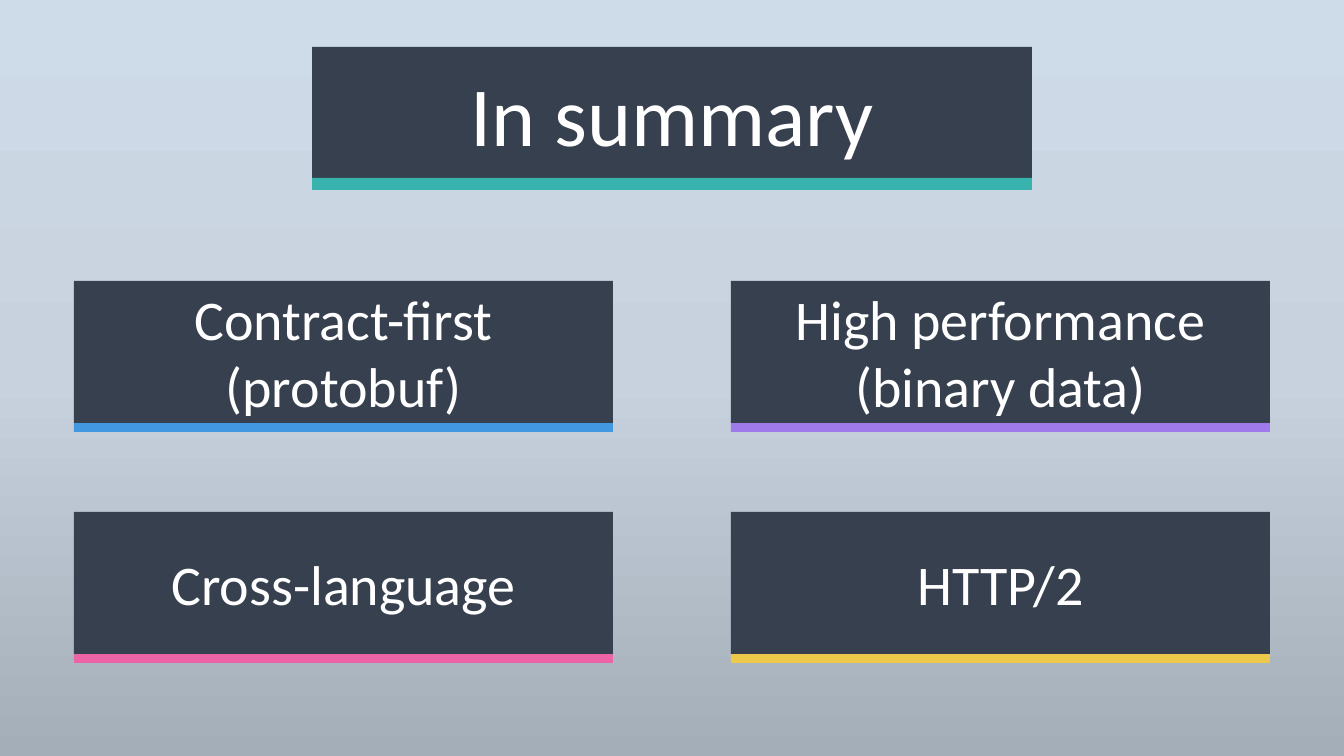
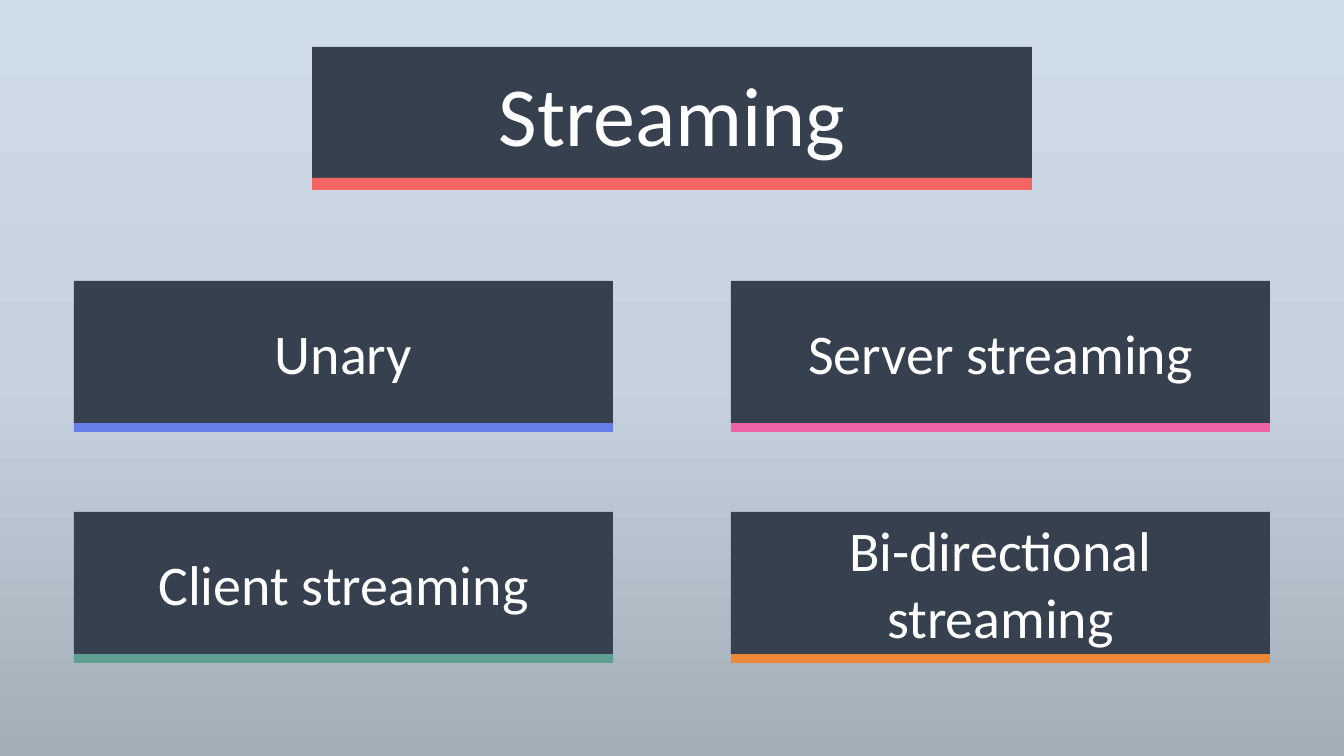
from copy import deepcopy

from pptx import Presentation
from pptx.dml.color import RGBColor
from pptx.enum.shapes import MSO_SHAPE
from pptx.enum.text import MSO_ANCHOR, PP_ALIGN
from pptx.oxml.ns import qn
from pptx.util import Pt

RECT, ROUNDED = MSO_SHAPE.RECTANGLE, MSO_SHAPE.ROUNDED_RECTANGLE
CENTER, MIDDLE = PP_ALIGN.CENTER, MSO_ANCHOR.MIDDLE

TEAL = RGBColor(0x38, 0xB2, 0xAC)
BLUE = RGBColor(0x42, 0x99, 0xE1)
PURPLE = RGBColor(0x9F, 0x7A, 0xEA)
PINK = RGBColor(0xED, 0x64, 0xA6)
YELLOW = RGBColor(0xEC, 0xC9, 0x4B)
RED = RGBColor(0xF5, 0x65, 0x65)
INDIGO = RGBColor(0x66, 0x7E, 0xEA)
GREEN = RGBColor(0x61, 0x9E, 0x92)
ORANGE = RGBColor(0xED, 0x89, 0x36)
SLATE = RGBColor(0x37, 0x40, 0x4E)
WHITE = RGBColor(0xFF, 0xFF, 0xFF)
BACKGROUND = [
    (0, RGBColor(0xCE, 0xDB, 0xE8)),
    (0.5, RGBColor(0xC8, 0xD2, 0xDE)),
    (1, RGBColor(0xA4, 0xAE, 0xB9)),
]

SLIDES = [
    ("In summary", TEAL, [
        ("Contract-first\n(protobuf)", BLUE),
        ("High performance (binary data)", PURPLE),
        ("Cross-language", PINK),
        ("HTTP/2", YELLOW),
    ]),
    ("Streaming", RED, [
        ("Unary", INDIGO),
        ("Server streaming", PINK),
        ("Client streaming", GREEN),
        ("Bi-directional streaming", ORANGE),
    ]),
]

FONT = "Calibri"
SLIDE_W, SLIDE_H = 1344, 756
EMU_PER_PX = 12192000 / SLIDE_W
TITLE_Y, TITLE_W, TITLE_H, TITLE_BAR, TITLE_SIZE = 47, 720, 131, 12, 60
CARD_W, CARD_H, CARD_BAR, CARD_SIZE = 539, 142, 9, 40
MARGIN, GRID_Y, ROW_STEP, COLUMNS = 74, 281, 231, 2
COLUMN_STEP = SLIDE_W - 2 * MARGIN - CARD_W


def emu(px):
    return round(px * EMU_PER_PX)


def add_block(shapes, kind, box, color):
    sp = shapes.add_shape(kind, *map(emu, box))
    sp.shadow.inherit = False
    sp.fill.solid()
    sp.fill.fore_color.rgb = color
    sp.line.fill.background()
    return sp


def add_card(s, text, accent, x, y, w, h, bar, size):
    shapes = s.shapes.add_group_shape().shapes
    sp = add_block(shapes, ROUNDED, (x, y, w, h), SLATE)
    sp.adjustments[0] = 0
    tf = sp.text_frame
    tf.word_wrap = True
    tf.vertical_anchor = MIDDLE
    tf.text = text
    for p in tf.paragraphs:
        p.alignment = CENTER
        p.font.name = FONT
        p.font.size = Pt(size)
        p.font.color.rgb = WHITE
    add_block(shapes, RECT, (x, y + h, w, bar), accent)


def set_background(master):
    fill = master.background.fill
    fill.gradient()
    fill.gradient_angle = 270
    stop_list = master.element.find(".//" + qn("a:gsLst"))
    stop_list.append(deepcopy(stop_list[-1]))
    for stop, (position, color) in zip(fill.gradient_stops, BACKGROUND):
        stop.position = position
        stop.color.rgb = color


def main():
    prs = Presentation()
    prs.slide_width, prs.slide_height = emu(SLIDE_W), emu(SLIDE_H)
    set_background(prs.slide_master)
    for title, accent, cards in SLIDES:
        s = prs.slides.add_slide(prs.slide_layouts[6])
        add_card(s, title, accent, (SLIDE_W - TITLE_W) // 2, TITLE_Y,
                 TITLE_W, TITLE_H, TITLE_BAR, TITLE_SIZE)
        for i, (text, color) in enumerate(cards):
            row, column = divmod(i, COLUMNS)
            add_card(s, text, color, MARGIN + column * COLUMN_STEP,
                     GRID_Y + row * ROW_STEP, CARD_W, CARD_H, CARD_BAR, CARD_SIZE)
    prs.save("out.pptx")


if __name__ == "__main__":
    main()
